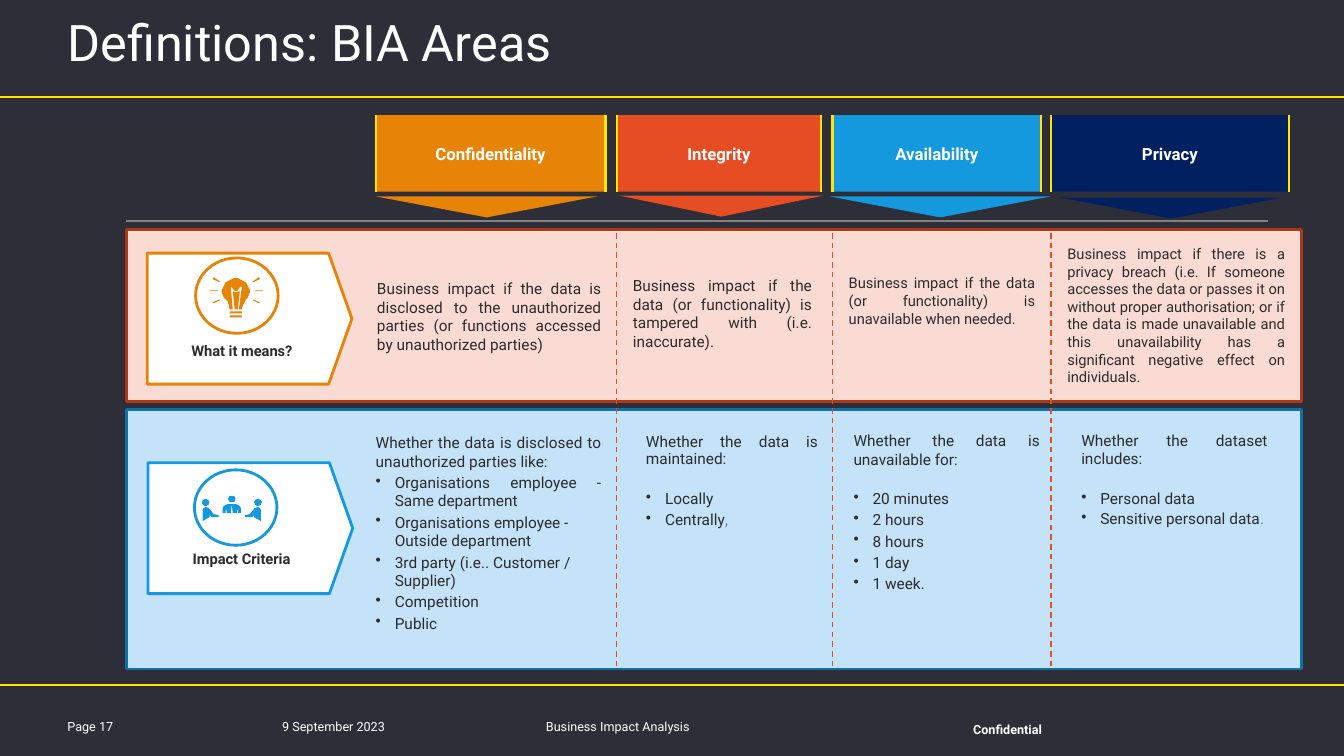
from dataclasses import dataclass
from math import cos, pi, sin

from lxml.etree import SubElement
from pptx import Presentation
from pptx.dml.color import RGBColor
from pptx.enum.dml import MSO_LINE
from pptx.enum.shapes import MSO_CONNECTOR, MSO_SHAPE
from pptx.enum.text import MSO_ANCHOR, MSO_AUTO_SIZE, PP_ALIGN
from pptx.oxml.ns import qn
from pptx.util import Cm, Pt


@dataclass(frozen=True)
class Theme:
    font: str = "Roboto"
    background: str = "2E2E38"
    white: str = "FFFFFF"
    ink: str = "2C2C2D"
    yellow: str = "FFE600"
    grey: str = "808080"
    orange: str = "E78306"
    red: str = "E64D23"
    blue: str = "1499DE"
    navy: str = "002060"
    title: float = 36
    heading: float = 12
    body: float = 11
    small: float = 10.5
    footer: float = 9


@dataclass(frozen=True)
class Area:
    """One column; boxes are left, top, width, height in cm, bullet_gap in points."""
    name: str
    color: str
    header: tuple
    arrow: tuple
    meaning: str
    meaning_box: tuple
    meaning_size: float
    criteria: str
    criteria_box: tuple
    bullets: tuple
    bullet_gap: float = 1
    line_spacing: float = 1
    ending: tuple = ()


T = Theme()
LEFT, CENTER, JUSTIFY = PP_ALIGN.LEFT, PP_ALIGN.CENTER, PP_ALIGN.JUSTIFY

TITLE = "Definitions: BIA Areas"
FOOTERS = [
    ("Page 17", (1.7, 17.98, 1.83, 0.51), (0, 0.13, 0.25, 0.13), {}),
    ("9 September 2023", (6.86, 17.98, 3.3, 0.51), (0.25, 0.13, 0.25, 0.13), {}),
    ("Business Impact Analysis", (13.51, 17.98, 6.88, 0.51), (0.25, 0.13, 0.25, 0.13), {}),
    ("Confidential", (22.1, 18.14, 6.58, 0.43), (0, 0.1, 0, 0),
     {"bold": True, "align": CENTER, "line_spacing": 0.85}),
]
AREAS = [
    Area("Confidentiality", T.orange, (9.47, 5.79), (9.47, 4.95, 5.59, 0.53),
         "Business impact if the data is disclosed to the unauthorized parties "
         "(or functions accessed by unauthorized parties)",
         (9.5, 7.04, 5.66, 1.88), T.body,
         "Whether the data is disclosed to unauthorized parties like:",
         (9.47, 10.92, 5.69, 5.05),
         ("Organisations employee - Same department",
          "Organisations employee - Outside department",
          "3rd party (i.e.. Customer / Supplier)", "Competition", "Public")),
    Area("Integrity", T.red, (15.54, 5.16), (15.6, 4.93, 5.16, 0.53),
         "Business impact if the data (or functionality) is tampered with "
         "(i.e. inaccurate).",
         (15.95, 6.96, 4.52, 2.39), T.body,
         "Whether the data is maintained:", (16.28, 10.92, 4.34, 2.44),
         ("Locally", "Centrally"), 15, 0.95, (",", T.grey)),
    Area("Availability", T.blue, (20.98, 5.26), (20.9, 4.95, 5.59, 0.53),
         "Business impact if the data (or functionality) is unavailable when needed.",
         (21.39, 6.91, 4.7, 1.35), T.small,
         "Whether the data is unavailable for:", (21.51, 10.87, 4.7, 4.09),
         ("20 minutes", "2 hours", "8 hours", "1 day", "1 week."), 14),
    Area("Privacy", T.navy, (26.49, 5.99), (26.72, 4.98, 5.59, 0.53),
         "Business impact if there is a privacy breach (i.e. If someone accesses the "
         "data or passes it on without proper authorisation; or if the data is made "
         "unavailable and this unavailability has a significant negative effect on "
         "individuals.",
         (26.9, 6.17, 5.49, 3.58), T.small,
         "Whether the dataset includes:", (27.25, 10.9, 4.7, 2.44),
         ("Personal data", "Sensitive personal data"), 15, 0.95, (".", T.blue)),
]


def arc(cx, cy, radius, start=0, end=2 * pi, steps=20):
    angles = [start + (end - start) * i / steps for i in range(steps + 1)]
    return [(cx + radius * cos(a), cy + radius * sin(a)) for a in angles]


def with_mirror(outlines, axis):
    """Add each outline reflected about the vertical line at axis."""
    return outlines + [[(2 * axis - x, y) for x, y in o] for o in outlines]


# Icon outlines, in hundredths of an inch on the slide
BULB = [
    [(228, 315), (240, 315), (240, 313), (228, 313)],
    [(228, 311), (240, 311), (240, 309), (228, 309)],
    arc(234, 290, 14, pi, 2 * pi) + [
        (246, 295), (243, 299), (241, 303), (240, 307), (237, 307), (240, 285),
        (239, 284.5), (238, 285), (236, 288), (234, 289), (232, 288), (230, 285),
        (229, 285), (231, 307), (228, 307), (227, 303), (226, 299), (222, 295)],
    [(236, 307), (238, 289), (234, 290), (231, 289), (233, 307)],
] + with_mirror([
    [(216, 288), (208, 288), (208, 289), (216, 289)],
    [(211, 300), (212, 301), (218, 298), (218, 297)],
    [(211, 277), (218, 280), (218, 279), (212, 275)]], 234.5)
MEETING = with_mirror([
    arc(204, 498.5, 3.5),
    [(208, 505), (207, 504), (204, 503), (202, 504), (201, 506), (201, 517), (208, 513),
     (208, 511), (210, 513), (217, 513), (217, 511), (212, 510)]], 230) + [
    arc(230, 495, 3.5),
    [(226, 500), (234, 500), (238, 501.5), (239, 504), (239, 509), (236, 509), (236, 506),
     (235, 506), (235, 509), (231, 509), (230, 500.5), (229, 509), (225, 509), (225, 506),
     (224, 506), (224, 509), (221, 509), (221, 504), (222, 501.5)]]

# Row: band box, band fill, band line, accent, plate, circle, label, label box, icon
ROWS = [
    ((3.18, 10.31, 29.62, 6.55), "C4E2F8", "0F71A4", T.blue, (3.73, 11.66, 5.16, 3.3),
     (4.9, 11.84, 2.08, 1.9), "Impact Criteria", (4.17, 13.84, 3.84, 0.46), MEETING),
    ((3.18, 5.79, 29.62, 4.32), "FADBD3", "AA391A", T.orange, (3.71, 6.38, 5.16, 3.3),
     (4.93, 6.5, 2.08, 1.9), "What it means?", (3.94, 8.61, 4.32, 0.46), BULB),
]


def rgb(color):
    return RGBColor.from_string(color)


def lengths(box):
    return [Cm(v) for v in box]


def paint(shape, fill, line=None, width=2):
    shape.shadow.inherit = False
    shape.fill.solid()
    shape.fill.fore_color.rgb = rgb(fill)
    if line:
        shape.line.color.rgb, shape.line.width = rgb(line), Pt(width)
    else:
        shape.line.fill.background()


def add_shape(slide, kind, box, fill, line=None, width=2, adjust=None):
    shape = slide.shapes.add_shape(kind, *lengths(box))
    paint(shape, fill, line, width)
    if adjust is not None:
        shape.adjustments[0] = adjust
    return shape


def add_line(slide, start, end, color, width, dash=None):
    line = slide.shapes.add_connector(MSO_CONNECTOR.STRAIGHT, *lengths(start + end))
    line.line.color.rgb, line.line.width = rgb(color), Pt(width)
    if dash:
        line.line.dash_style = dash
    SubElement(line.element.spPr, qn("a:effectLst"))


def set_frame(frame, insets=(0, 0, 0, 0), anchor=MSO_ANCHOR.TOP, grow=True):
    sides = ("margin_left", "margin_top", "margin_right", "margin_bottom")
    settings = dict(zip(sides, lengths(insets)), word_wrap=True, vertical_anchor=anchor,
                    auto_size=MSO_AUTO_SIZE.SHAPE_TO_FIT_TEXT if grow else MSO_AUTO_SIZE.NONE)
    for key, value in settings.items():
        setattr(frame, key, value)


def write(paragraph, text, size, color, bold=False, align=LEFT, bullet=False, ending=(),
          **spacing):
    """Fill a paragraph; ending is an optional (text, color) run."""
    if bullet:
        props = paragraph._p.get_or_add_pPr()
        props.set("marL", str(Cm(0.48)))
        props.set("indent", str(-Cm(0.48)))
        SubElement(props, qn("a:buChar"), char="•")
    for key, value in dict(spacing, alignment=align).items():
        setattr(paragraph, key, value)
    for words, ink in [(text, color)] + ([ending] if ending else []):
        run = paragraph.add_run()
        run.text = words
        for key, value in {"name": T.font, "size": Pt(size), "bold": bold}.items():
            setattr(run.font, key, value)
        run.font.color.rgb = rgb(ink)


def add_text(slide, box, text, size, color, insets=(0, 0, 0, 0), **look):
    frame = slide.shapes.add_textbox(*lengths(box)).text_frame
    set_frame(frame, insets)
    write(frame.paragraphs[0], text, size, color, **look)
    return frame


def add_icon(slide, outlines, color):
    builder = slide.shapes.build_freeform(*outlines[0][0], scale=Cm(2.54) / 100)
    for i, outline in enumerate(outlines):
        if i:
            builder.move_to(*outline[0])
        builder.add_line_segments(outline[1:], close=True)
    paint(builder.convert_to_shape(), color)


def add_row(slide, band, fill, edge, accent, plate, circle, label, label_box, icon):
    add_shape(slide, MSO_SHAPE.RECTANGLE, band, fill, edge)
    add_shape(slide, MSO_SHAPE.PENTAGON, plate, T.white, accent, adjust=0.178)
    add_shape(slide, MSO_SHAPE.OVAL, circle, T.white, accent)
    add_text(slide, label_box, label, T.small, T.ink, (0, 0.08, 0, 0),
             bold=True, align=CENTER, line_spacing=0.85)
    add_icon(slide, icon, accent)


def add_area(slide, area):
    left, width = area.header
    header = add_shape(slide, MSO_SHAPE.DOUBLE_BRACKET, (left, 2.9, width, 1.93),
                       area.color, T.yellow, 1.5, 0)
    set_frame(header.text_frame, (0.1, 0.13, 0.1, 0.13), MSO_ANCHOR.MIDDLE, grow=False)
    write(header.text_frame.paragraphs[0], area.name, T.heading, T.white, True, CENTER)
    arrow = add_shape(slide, MSO_SHAPE.ISOSCELES_TRIANGLE, area.arrow, area.color)
    arrow.element.spPr.xfrm.set("flipV", "1")
    add_text(slide, area.meaning_box, area.meaning, area.meaning_size, T.ink, align=JUSTIFY)
    criteria = add_text(slide, area.criteria_box, area.criteria, T.body, T.ink, align=JUSTIFY,
                        line_spacing=area.line_spacing, space_after=Pt(1))
    for i, bullet in enumerate(area.bullets):
        last = i == len(area.bullets) - 1
        write(criteria.add_paragraph(), bullet, T.body, T.ink, bullet=True,
              align=LEFT if i else JUSTIFY, ending=area.ending if last else (),
              line_spacing=area.line_spacing, space_after=Pt(1),
              space_before=Pt(1 if i else area.bullet_gap))


def main():
    deck = Presentation()
    deck.slide_width, deck.slide_height = Cm(33.87), Cm(19.05)
    slide = deck.slides.add_slide(deck.slide_layouts[5])
    slide.background.fill.solid()
    slide.background.fill.fore_color.rgb = rgb(T.background)

    title = slide.shapes.title
    title.left, title.top, title.width, title.height = lengths((1.7, 0.41, 30.48, 1.42))
    set_frame(title.text_frame, (0, 0.1, 0, 0))
    write(title.text_frame.paragraphs[0], TITLE, T.title, T.white, line_spacing=0.85)

    for y in (2.44, 17.25):
        add_line(slide, (0, y), (33.87, y), T.yellow, 1.5)
    for text, box, insets, look in FOOTERS:
        add_text(slide, box, text, T.footer, T.white, insets, **look)
    for row in ROWS:
        add_row(slide, *row)
    add_line(slide, (3.18, 5.56), (31.95, 5.56), T.grey, 1.5)
    for area in AREAS:
        add_area(slide, area)
    for area in AREAS[1:]:
        x = area.header[0]
        add_line(slide, (x, 5.87), (x, 16.87), T.red, 1, MSO_LINE.DASH)
    deck.save("out.pptx")


if __name__ == "__main__":
    main()
